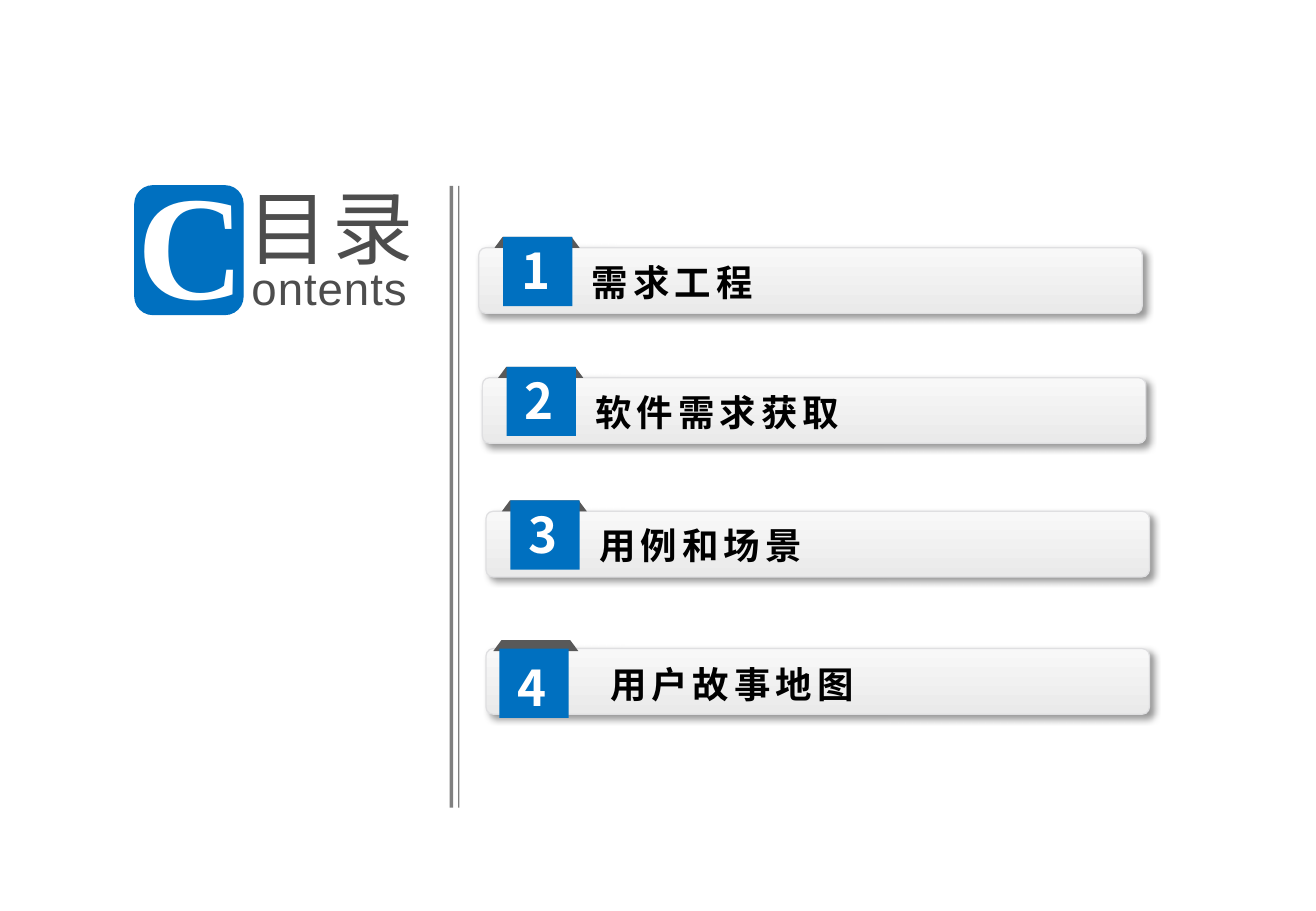
import pptx
import pptx.util
import pptx.dml.color
import pptx.enum.shapes
import pptx.enum.text
import pptx.oxml
import pptx.oxml.ns

Inches = pptx.util.Inches
Pt = pptx.util.Pt
RGB = pptx.dml.color.RGBColor
SHAPE = pptx.enum.shapes.MSO_SHAPE

BLUE = RGB(0x00, 0x70, 0xC0)
WHITE = RGB(0xFF, 0xFF, 0xFF)
BLACK = RGB(0x00, 0x00, 0x00)
INK = RGB(0x4D, 0x4D, 0x4D)
FOLD = RGB(0x59, 0x59, 0x59)
RULE = RGB(0x80, 0x80, 0x80)
EDGE = RGB(0xDF, 0xDF, 0xE1)
PALE = RGB(0xF8, 0xF8, 0xF8)
DIM = RGB(0xEA, 0xEA, 0xEA)

CJK = "Noto Sans CJK SC"
SERIF = "Liberation Serif"
SANS = "Liberation Sans"

NEAR = dict(tab=(0.2, -0.09), fold=(0.13, -0.09), label=(0.85, 0.06), digit=(0.27, -0.1))
LAST = dict(tab=(0.11, 0), fold=(0.06, -0.07), label=(0.94, 0.07), digit=(0.18, 0.03))
TOPICS = [
    ("需求工程", 3.94, 2.04, 4.32, NEAR),
    ("软件需求获取", 3.97, 3.11, 4.45, NEAR),
    ("用例和场景", 4.0, 4.21, 2.59, NEAR),
    ("用户故事地图", 4.0, 5.34, 3.69, LAST),
]
TITLE = [
    ("C", (1.13, 1.24, 0.89, 1.4), dict(size=88, font=SERIF, color=WHITE, bold=True, center=True)),
    ("目录", (2.04, 1.46, 1.5, 0.97), dict(size=48, color=INK, track=2)),
    ("ontents", (2.07, 2.14, 1.4, 0.45), dict(size=27, font=SANS, color=INK, track=0.6)),
]
RULES = [(3.7, 0.03), (3.77, 0.01)]

SHADOW = (
    '<a:outerShdw %s blurRad="50800" dist="38100" dir="2700000" algn="tl" rotWithShape="0">'
    '<a:srgbClr val="000000"><a:alpha val="40000"/></a:srgbClr></a:outerShdw>'
    % pptx.oxml.ns.nsdecls("a")
)


def write(home, text, box, size=20, font=CJK, color=BLACK, bold=False,
          track=0, center=False, pad=(0, 0)):
    frame = home.add_textbox(*map(Inches, box)).text_frame
    frame.word_wrap = False
    frame.margin_left = frame.margin_right = Inches(pad[0])
    frame.margin_top = frame.margin_bottom = Inches(pad[1])
    para = frame.paragraphs[0]
    align = pptx.enum.text.PP_ALIGN
    para.alignment = align.CENTER if center else align.LEFT
    run = para.add_run()
    run.text = text
    run.font.size = Pt(size)
    run.font.name = font
    run.font.bold = bold
    run.font.color.rgb = color
    props = run.font._element
    if track:
        props.set("spc", str(round(track * 100)))
    face = props.makeelement(pptx.oxml.ns.qn("a:ea"), {"typeface": font})
    props.find(pptx.oxml.ns.qn("a:latin")).addnext(face)


def draw(home, kind, box, color, adjust=None):
    shape = home.add_shape(kind, *map(Inches, box))
    shape.shadow.inherit = False
    shape.fill.solid()
    shape.fill.fore_color.rgb = color
    shape.line.fill.background()
    if adjust is not None:
        shape.adjustments[0] = adjust
    return shape


def bar(home, left, top):
    shape = draw(home, SHAPE.ROUNDED_RECTANGLE, (left, top, 5.46, 0.54), PALE, 0.11)
    shape.fill.gradient()
    shape.fill.gradient_angle = 270
    for stop, color, place in zip(shape.fill.gradient_stops, (PALE, DIM), (0, 1)):
        stop.color.rgb = color
        stop.position = place
    shape.line.color.rgb = EDGE
    shape.line.width = Pt(0)
    effects = shape._element.spPr.find(pptx.oxml.ns.qn("a:effectLst"))
    effects.append(pptx.oxml.parse_xml(SHADOW))


def topic(home, rank, text, left, top, width, parts):
    def place(part, wide, high):
        dx, dy = parts[part]
        return left + dx, top + dy, wide, high

    bar(home, left, top)
    draw(home, SHAPE.TRAPEZOID, place("fold", 0.7, 0.09), FOLD, 0.74)
    draw(home, SHAPE.RECTANGLE, place("tab", 0.57, 0.57), BLUE)
    write(home, text, place("label", width, 0.45), size=21.6, bold=True,
          track=3, pad=(0.08, 0.04))
    write(home, str(rank), place("digit", 0.42, 0.57), size=29.2, color=WHITE,
          bold=True, pad=(0.08, 0.04))


def main():
    deck = pptx.Presentation()
    deck.slide_width = Inches(10.83)
    deck.slide_height = Inches(7.5)
    shapes = deck.slides.add_slide(deck.slide_layouts[6]).shapes

    badge = draw(shapes, SHAPE.ROUNDED_RECTANGLE, (1.11, 1.53, 0.89, 1.06), BLUE)
    badge.line.color.rgb = BLUE
    badge.line.width = Pt(0.75)
    for text, box, style in TITLE:
        write(shapes, text, box, **style)
    for left, width in RULES:
        draw(shapes, SHAPE.RECTANGLE, (left, 1.53, width, 5.12), RULE)
    for rank, row in enumerate(TOPICS, 1):
        topic(shapes.add_group_shape().shapes, rank, *row)

    deck.save("out.pptx")


if __name__ == "__main__":
    main()
